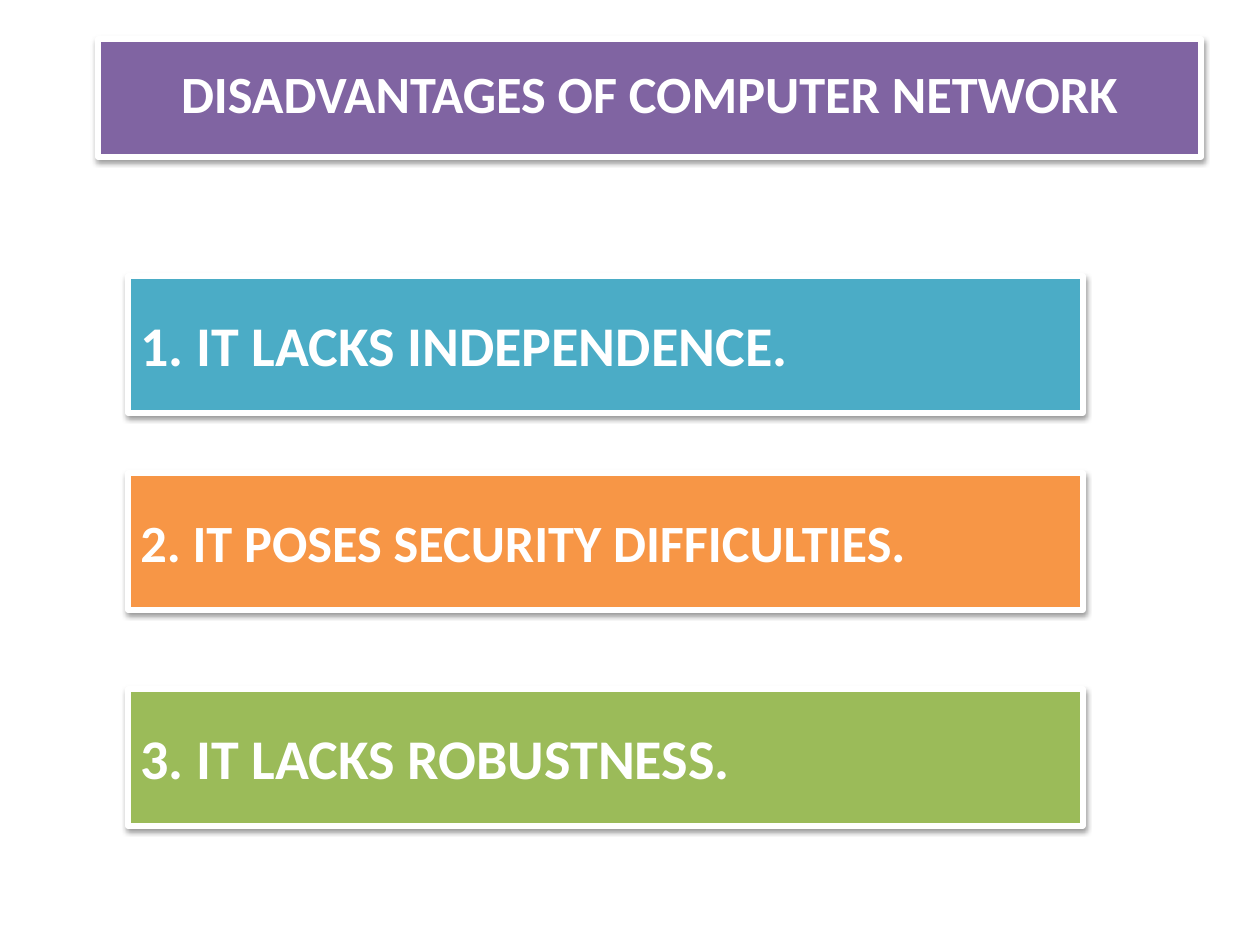
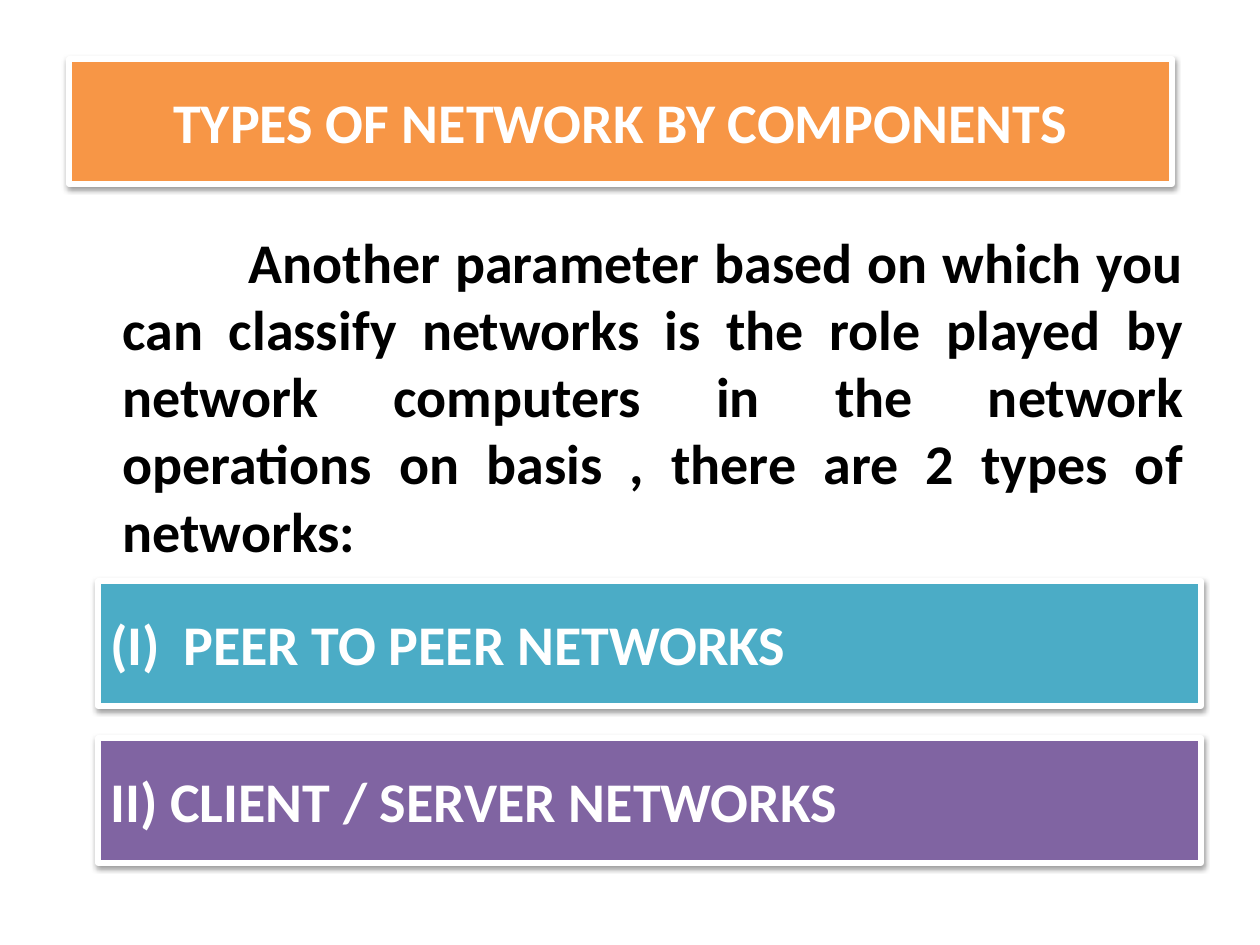
from lxml.etree import SubElement
from pptx import Presentation
from pptx.dml.color import RGBColor
from pptx.enum.shapes import MSO_SHAPE as Preset
from pptx.enum.text import MSO_ANCHOR as Anchor, MSO_AUTO_SIZE as AutoSize, PP_ALIGN as Align
from pptx.oxml.ns import qn
from pptx.util import Emu, Inches, Pt

PX = 914400 / 126  # EMU in one px

WHITE = RGBColor(0xFF, 0xFF, 0xFF)
BLACK = RGBColor(0x00, 0x00, 0x00)
PURPLE = RGBColor(0x80, 0x64, 0xA2)
TEAL = RGBColor(0x4B, 0xAC, 0xC6)
ORANGE = RGBColor(0xF7, 0x96, 0x46)
GREEN = RGBColor(0x9B, 0xBB, 0x59)

FONT = "Calibri"
TITLE_ONLY, TITLE_AND_CONTENT = 5, 1  # layouts of the default template
BAND_WIDTH = 1103
BAND_LEFT = 98
LARGE, MEDIUM = 32, 29.9


def px(length):
    return Emu(round(length * PX))


def place(shape, left, top, width, height):
    shape.left, shape.top = px(left), px(top)
    shape.width, shape.height = px(width), px(height)


def write(shape, text, size, color, align, anchor):
    """Fill a shape with one bold paragraph and return that paragraph."""
    frame = shape.text_frame
    frame.text = text
    frame.word_wrap = True
    frame.auto_size = AutoSize.NONE
    frame.vertical_anchor = anchor
    paragraph = frame.paragraphs[0]
    paragraph.alignment = align
    paragraph.space_before = Pt(0)
    for run in paragraph.runs:
        run.font.name, run.font.size = FONT, Pt(size)
        run.font.bold, run.font.color.rgb = True, color
    return paragraph


def add_soft_shadow(shape):
    shape.shadow.inherit = False
    effects = shape._element.spPr.find(qn("a:effectLst"))
    shadow = SubElement(effects, qn("a:outerShdw"), blurRad="40000", dist="20000",
                        dir="5400000", rotWithShape="0")
    black = SubElement(shadow, qn("a:srgbClr"), val=str(BLACK))
    SubElement(black, qn("a:alpha"), val="38000")


def style_band(shape, fill):
    """Coloured band with a white frame and a soft shadow below."""
    shape.fill.solid()
    shape.fill.fore_color.rgb = fill
    shape.line.color.rgb = WHITE
    shape.line.width = Pt(3)
    add_soft_shadow(shape)


def set_title(slide, text, fill, left, top, height, size):
    title = slide.shapes.title
    place(title, left, top, BAND_WIDTH, height)
    style_band(title, fill)
    return write(title, text, size, WHITE, Align.CENTER, Anchor.MIDDLE)


def add_band(slide, text, fill, left, top, width, height, size=LARGE):
    band = slide.shapes.add_shape(Preset.RECTANGLE, 0, 0, 0, 0)
    place(band, left, top, width, height)
    style_band(band, fill)
    return write(band, text, size, WHITE, Align.LEFT, Anchor.MIDDLE)


def set_tab_stop(paragraph, position):
    tabs = SubElement(paragraph._p.get_or_add_pPr(), qn("a:tabLst"))
    SubElement(tabs, qn("a:tab"), pos=str(px(position)), algn="l")


def set_body(slide, text):
    """Justified paragraph without a bullet, first line indented."""
    body = slide.placeholders[1]
    place(body, 63, 221, 1134, 380)
    paragraph = write(body, text, LARGE, BLACK, Align.JUSTIFY, Anchor.TOP)
    properties = paragraph._p.get_or_add_pPr()
    properties.set("marL", str(px(47)))
    properties.set("indent", str(px(126)))
    SubElement(properties, qn("a:buNone"))


def build_disadvantages(presentation):
    slide = presentation.slides.add_slide(presentation.slide_layouts[TITLE_ONLY])
    title = set_title(slide, "DISADVANTAGES OF COMPUTER NETWORK", PURPLE,
                      BAND_LEFT, 39, 118, MEDIUM)
    title.line_spacing = 0.8
    disadvantages = [
        ("1. IT LACKS INDEPENDENCE.", TEAL, 276, LARGE),
        ("2. IT POSES SECURITY DIFFICULTIES.", ORANGE, 473, MEDIUM),
        ("3. IT LACKS ROBUSTNESS.", GREEN, 689, LARGE),
    ]
    for text, fill, top, size in disadvantages:
        add_band(slide, text, fill, 128, top, 955, 137, size)


def build_network_types(presentation):
    slide = presentation.slides.add_slide(presentation.slide_layouts[TITLE_AND_CONTENT])
    band_height = 125
    set_title(slide, "TYPES OF NETWORK BY COMPONENTS", ORANGE, 69, 59, band_height, LARGE)
    set_body(slide, "Another parameter based on which you can classify networks is the role "
                    "played by network computers in the network operations on basis , "
                    "there are 2 types of networks:")
    peer = add_band(slide, "(I)\tPEER TO PEER NETWORKS", TEAL,
                    BAND_LEFT, 581, BAND_WIDTH, band_height)
    set_tab_stop(peer, 73)
    add_band(slide, "II) CLIENT / SERVER NETWORKS", PURPLE,
             BAND_LEFT, 738, BAND_WIDTH, band_height)


def main():
    presentation = Presentation()
    presentation.slide_width, presentation.slide_height = Inches(10), Inches(7.5)
    build_disadvantages(presentation)
    build_network_types(presentation)
    presentation.save("out.pptx")


if __name__ == "__main__":
    main()
